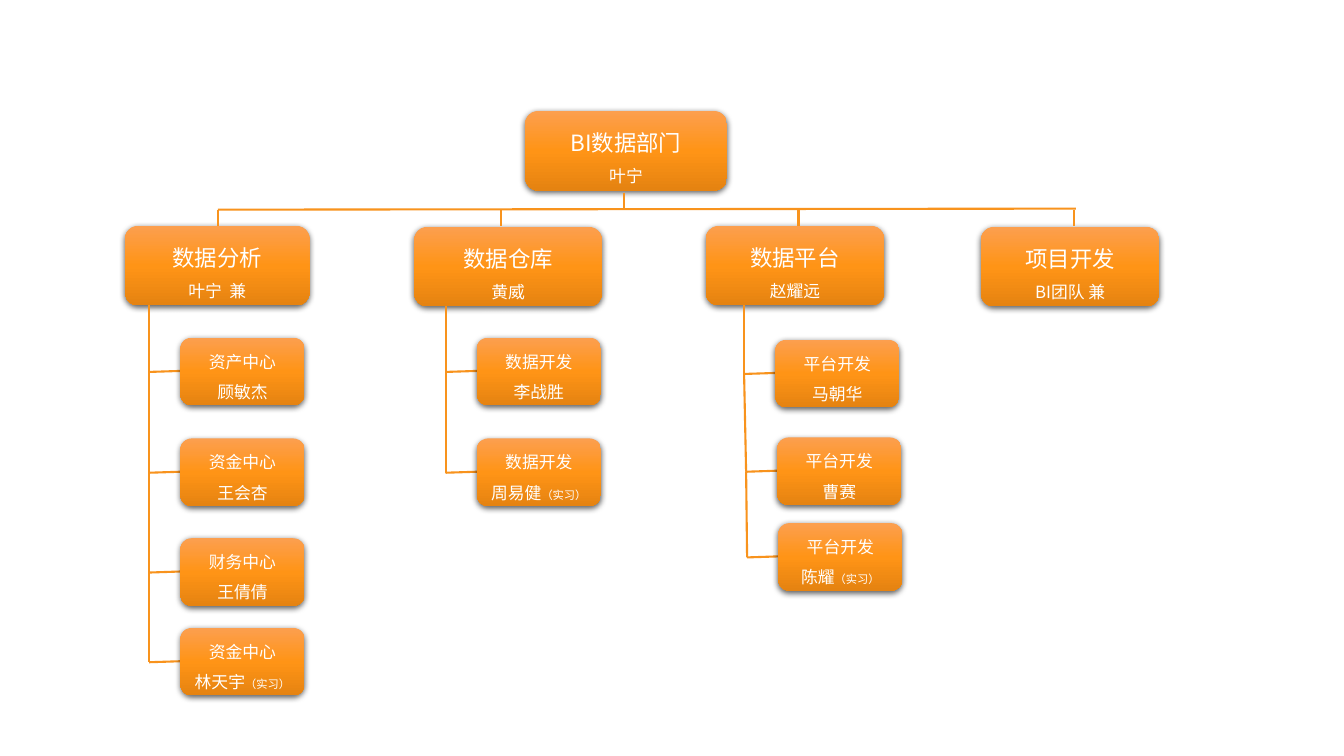
from copy import deepcopy
from dataclasses import dataclass
from itertools import pairwise

from lxml import etree
from pptx import Presentation
from pptx import util as u
from pptx.dml.color import RGBColor
from pptx.enum import shapes, text
from pptx.oxml import parse_xml
from pptx.oxml.ns import nsdecls, qn

SLIDE_WIDTH, SLIDE_HEIGHT = u.Inches(13.33), u.Inches(7.5)
COLUMN, ROW = SLIDE_WIDTH / 133.3, SLIDE_HEIGHT / 75


@dataclass(frozen=True)
class Theme:
    font: str = "Noto Sans CJK SC"
    ink: str = "FFFFFF"
    wire: str = "F8931D"
    gradient: tuple = ((0, "FC9F4F"), (0.5, "FF9416"), (1, "E58311"))
    title_size: int = 16
    name_size: int = 12
    note_size: int = 8
    wire_width: float = 1.5
    line_spacing: float = 1.5


THEME = Theme()
BUS_ROW, DROP_ROW = 20.8, 22.4
UNIT_HEIGHT = 7.9
MEMBER_WIDTH, MEMBER_HEIGHT = 12.3, 6.7
TICK_LENGTH = 3.1
INTERN = "（实习）"

HEAD = ("BI数据部门", "叶宁", 52.1, 11, 20)
# title, leader, left, top, width, column of the drop line, members
# each member: role, name, note, left, top
UNITS = (
    ("数据分析", "叶宁  兼", 12.4, 22.4, 18.3, 21.6, (
        ("资产中心", "顾敏杰", "", 17.9, 33.5),
        ("资金中心", "王会杏", "", 17.9, 43.5),
        ("财务中心", "王倩倩", "", 17.9, 53.4),
        ("资金中心", "林天宇", INTERN, 17.9, 62.3))),
    ("数据仓库", "黄威", 41.1, 22.5, 18.6, 49.7, (
        ("数据开发", "李战胜", "", 47.3, 33.5),
        ("数据开发", "周易健", INTERN, 47.3, 43.5))),
    ("数据平台", "赵耀远", 70, 22.4, 17.7, 79.2, (
        ("平台开发", "马朝华", "", 76.9, 33.7),
        ("平台开发", "曹赛", "", 77.1, 43.4),
        ("平台开发", "陈耀", INTERN, 77.2, 51.9))),
    ("项目开发", "BI团队 兼", 97.3, 22.5, 17.7, 106.5, ()),
)


def grid(column, row):
    return round(column * COLUMN), round(row * ROW)


def add_wire(slide, start, end):
    wire = slide.shapes.add_connector(
        shapes.MSO_CONNECTOR.STRAIGHT, *grid(*start), *grid(*end))
    wire.line.color.rgb = RGBColor.from_string(THEME.wire)
    wire.line.width = u.Pt(THEME.wire_width)
    etree.SubElement(wire.element.spPr, qn("a:effectLst"))


def paint_card(card):
    """Give the card its three-stop gradient and soft shadow."""
    card.fill.gradient()
    card.fill.gradient_angle = 270
    stop_list = card.element.xpath(".//a:gsLst")[0]
    stop_list.append(deepcopy(stop_list[0]))
    for stop, (position, colour) in zip(card.fill.gradient_stops, THEME.gradient):
        stop.position = position
        stop.color.rgb = RGBColor.from_string(colour)
    card.line.fill.background()
    card.shadow.inherit = False
    card.element.spPr.find(qn("a:effectLst")).append(parse_xml(
        f'<a:outerShdw {nsdecls("a")} blurRad="{u.Pt(4.5)}" dist="{u.Pt(1.5)}"'
        ' dir="5400000" rotWithShape="0"><a:srgbClr val="000000">'
        '<a:alpha val="63000"/></a:srgbClr></a:outerShdw>'))


def add_words(paragraph, words, size):
    run = paragraph.add_run()
    run.text = words
    run.font.color.rgb = RGBColor.from_string(THEME.ink)
    for key, value in {"name": THEME.font, "size": u.Pt(size)}.items():
        setattr(run.font, key, value)
    etree.SubElement(run.font._element, qn("a:ea"), typeface=THEME.font)


def add_card(slide, place, size, lines):
    """Each line is a sequence of (words, type size) pairs."""
    card = slide.shapes.add_shape(
        shapes.MSO_SHAPE.ROUNDED_RECTANGLE, *grid(*place), *grid(*size))
    paint_card(card)
    frame = card.text_frame
    frame.word_wrap = True
    frame.vertical_anchor = text.MSO_ANCHOR.MIDDLE
    for index, line in enumerate(lines):
        paragraph = frame.add_paragraph() if index else frame.paragraphs[0]
        paragraph.alignment = text.PP_ALIGN.CENTER
        paragraph.line_spacing = THEME.line_spacing
        for words, points in line:
            if words:
                add_words(paragraph, words, points)


def add_unit(slide, title, leader, left, top, width):
    add_card(slide, (left, top), (width, UNIT_HEIGHT),
             [[(title, THEME.title_size)], [(leader, THEME.name_size)]])


def add_member(slide, role, name, note, left, top):
    add_card(slide, (left, top), (MEMBER_WIDTH, MEMBER_HEIGHT),
             [[(role, THEME.name_size)],
              [(name, THEME.name_size), (note, THEME.note_size)]])


def wire_members(slide, unit_bottom, members):
    """Run a trunk down from the unit, with a tick to each member."""
    joints = [(left - TICK_LENGTH, top + 3.4) for *_, left, top in members]
    trunk = [(joints[0][0], unit_bottom), *joints]
    for start, end in pairwise(trunk):
        add_wire(slide, start, end)
    for column, row in joints:
        add_wire(slide, (column, row), (column + TICK_LENGTH, row - 0.1))


def main():
    deck = Presentation()
    deck.slide_width, deck.slide_height = SLIDE_WIDTH, SLIDE_HEIGHT
    slide = deck.slides.add_slide(deck.slide_layouts[6])

    add_unit(slide, *HEAD)
    add_wire(slide, (61.9, 19.1), (61.9, BUS_ROW))
    add_wire(slide, (UNITS[0][5], BUS_ROW), (UNITS[-1][5] + 0.2, BUS_ROW - 0.1))
    for title, leader, left, top, width, drop, members in UNITS:
        add_unit(slide, title, leader, left, top, width)
        add_wire(slide, (drop, BUS_ROW), (drop, DROP_ROW))
        if members:
            wire_members(slide, top + UNIT_HEIGHT, members)
        for member in members:
            add_member(slide, *member)

    deck.save("out.pptx")


if __name__ == "__main__":
    main()
